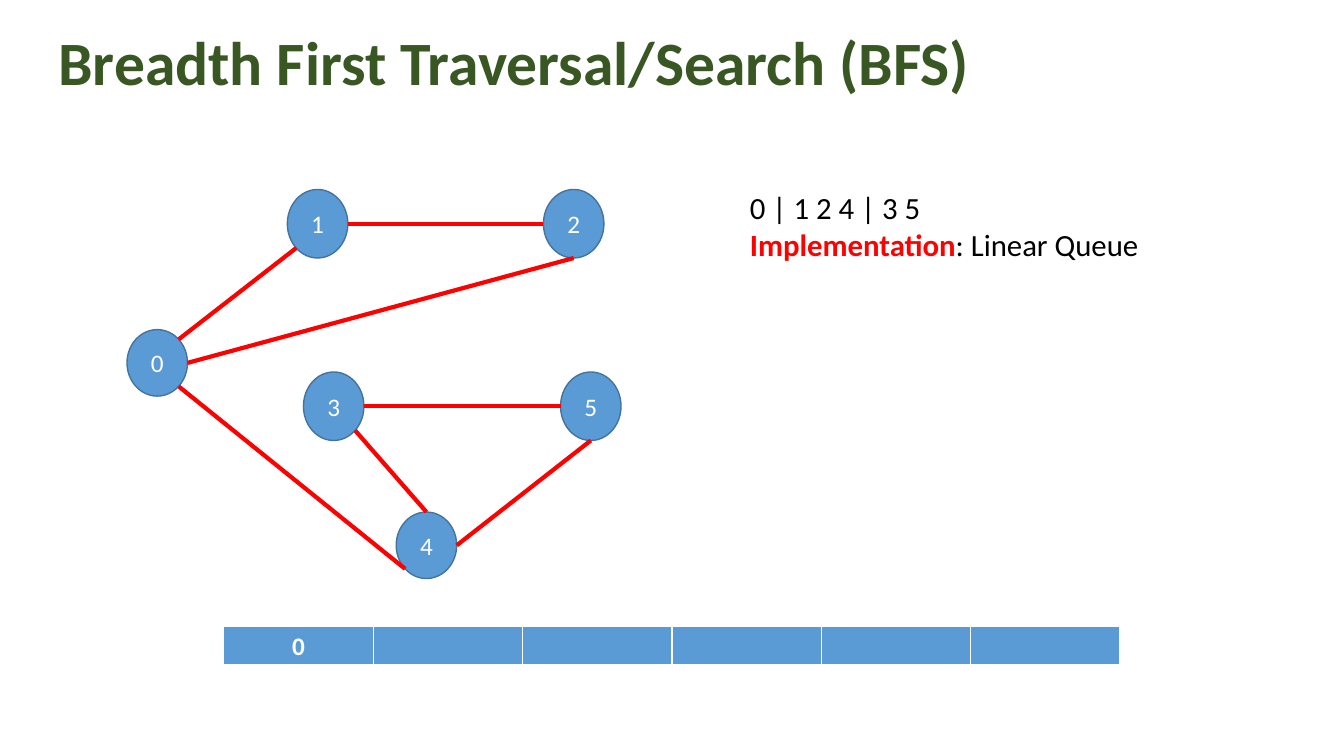
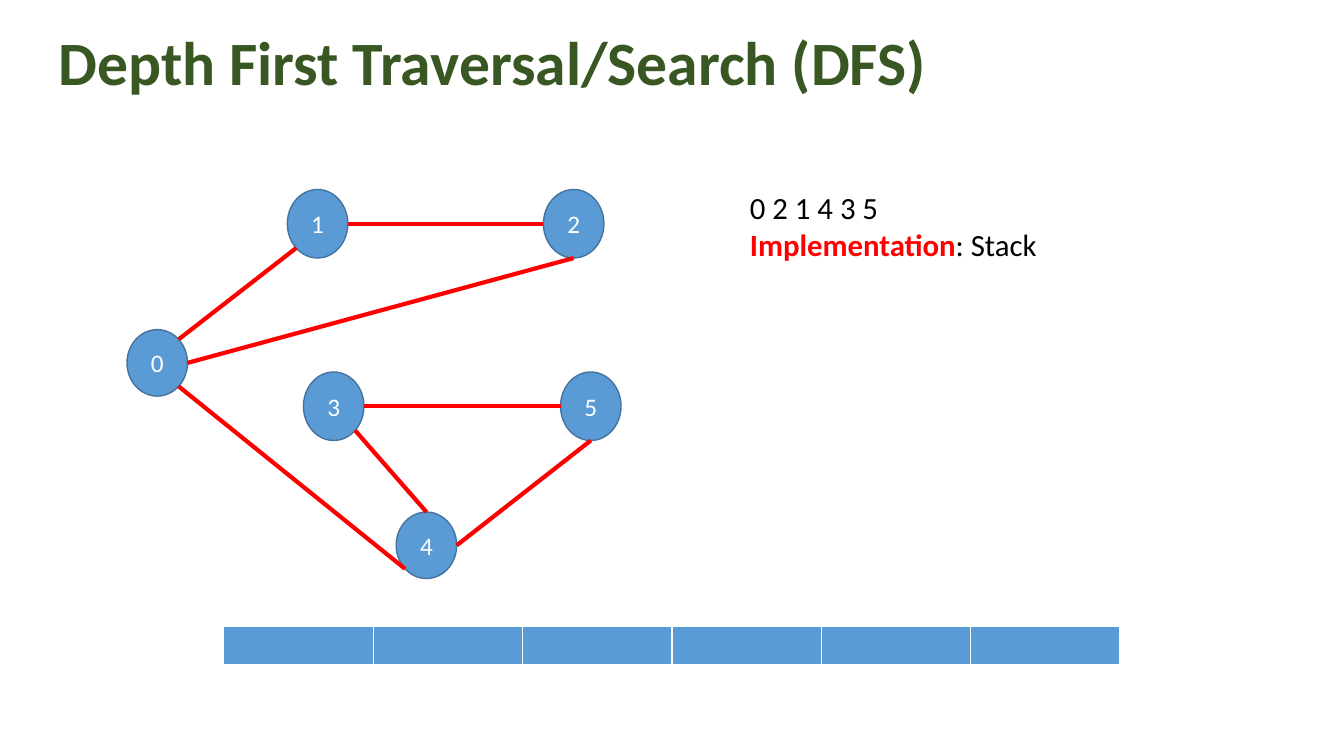
import math

from lxml import etree
from pptx import Presentation
from pptx.dml.color import RGBColor
from pptx.enum import shapes, text
from pptx.oxml import ns
from pptx.util import Inches, Pt

FONT = "Calibri"
GREEN = RGBColor(0x38, 0x57, 0x23)
BLUE = RGBColor(0x5B, 0x9B, 0xD5)
DARK_BLUE = RGBColor(0x43, 0x73, 0x9E)
RED = RGBColor(0xFF, 0x00, 0x00)
WHITE = RGBColor(0xFF, 0xFF, 0xFF)
BLACK = RGBColor(0x00, 0x00, 0x00)

NODE_WIDTH = 0.6
NODES = {
    "0": (1.26, 3.27, 0.66),
    "1": (2.85, 1.88, 0.68),
    "2": (5.39, 1.88, 0.68),
    "4": (3.93, 5.08, 0.66),
    "3": (3.01, 3.69, 0.68),
    "5": (5.56, 3.69, 0.68),
}
RIGHT, BOTTOM_RIGHT, BOTTOM, BOTTOM_LEFT = 0, 45, 90, 135
LEFT, TOP, TOP_RIGHT = 180, 270, 315
EDGES = [
    ("0", TOP_RIGHT, "1", BOTTOM_LEFT),
    ("1", RIGHT, "2", LEFT),
    ("0", BOTTOM_RIGHT, "4", BOTTOM_LEFT),
    ("3", BOTTOM_RIGHT, "4", TOP),
    ("5", BOTTOM, "4", RIGHT),
    ("0", RIGHT, "2", BOTTOM),
    ("3", RIGHT, "5", LEFT),
]

CELL_COUNT = 6
CELL_BORDERS = {"a:lnL": 1, "a:lnR": 1, "a:lnT": 1, "a:lnB": 3}

SLIDES = [
    ("Breadth First Traversal/Search (BFS)", "0 | 1 2 4 | 3 5", "Linear Queue", ["0"]),
    ("Depth First Traversal/Search (DFS)", "0 2 1 4 3 5", "Stack", []),
]


def write(paragraph, content, size=18, color=WHITE, bold=False, align=text.PP_ALIGN.LEFT):
    paragraph.alignment = align
    run = paragraph.add_run()
    run.text = content
    run.font.name = FONT
    run.font.size = Pt(size)
    run.font.bold = bold
    run.font.color.rgb = color


def add_title(slide, title):
    shape = slide.shapes.title
    shape.left, shape.top = Inches(0.48), Inches(0.26)
    shape.width, shape.height = Inches(11.5), Inches(0.79)
    frame = shape.text_frame
    frame.auto_size = text.MSO_AUTO_SIZE.NONE
    frame.vertical_anchor = text.MSO_ANCHOR.MIDDLE
    paragraph = frame.paragraphs[0]
    paragraph.line_spacing = 0.9
    write(paragraph, title, size=44, color=GREEN, bold=True)


def add_node(slide, label):
    left, top, height = NODES[label]
    shape = slide.shapes.add_shape(
        shapes.MSO_SHAPE.OVAL, Inches(left), Inches(top), Inches(NODE_WIDTH), Inches(height)
    )
    shape.shadow.inherit = False
    shape.fill.solid()
    shape.fill.fore_color.rgb = BLUE
    shape.line.color.rgb = DARK_BLUE
    shape.line.width = Pt(1)
    shape.text_frame.vertical_anchor = text.MSO_ANCHOR.MIDDLE
    write(shape.text_frame.paragraphs[0], label, align=text.PP_ALIGN.CENTER)


def rim_point(label, degrees):
    left, top, height = NODES[label]
    angle = math.radians(degrees)
    x = left + NODE_WIDTH / 2 * (1 + math.cos(angle))
    y = top + height / 2 * (1 + math.sin(angle))
    return Inches(x), Inches(y)


def add_edge(slide, start, start_angle, end, end_angle):
    connector = slide.shapes.add_connector(
        shapes.MSO_CONNECTOR.STRAIGHT,
        *rim_point(start, start_angle),
        *rim_point(end, end_angle),
    )
    connector.line.color.rgb = RED
    connector.line.width = Pt(3)
    etree.SubElement(connector._element.spPr, ns.qn("a:effectLst"))


def add_summary(slide, order, structure):
    box = slide.shapes.add_textbox(Inches(7.34), Inches(1.82), Inches(5.03), Inches(0.84))
    frame = box.text_frame
    frame.word_wrap = True
    frame.auto_size = text.MSO_AUTO_SIZE.SHAPE_TO_FIT_TEXT
    write(frame.paragraphs[0], order, size=22, color=BLACK)
    paragraph = frame.add_paragraph()
    write(paragraph, "Implementation", size=22, color=RED, bold=True)
    write(paragraph, f": {structure}", size=22, color=BLACK)


def add_borders(cell):
    properties = cell._tc.get_or_add_tcPr()
    for position, (tag, width) in enumerate(CELL_BORDERS.items()):
        line = etree.Element(ns.qn(tag), w=str(Pt(width)))
        fill = etree.SubElement(line, ns.qn("a:solidFill"))
        etree.SubElement(fill, ns.qn("a:srgbClr"), val=str(WHITE))
        properties.insert(position, line)


def add_storage(slide, values):
    table = slide.shapes.add_table(
        1, CELL_COUNT, Inches(2.22), Inches(6.21), Inches(8.89), Inches(0.38)
    ).table
    for cell in table.iter_cells():
        cell.fill.solid()
        cell.fill.fore_color.rgb = BLUE
        add_borders(cell)
    for column, value in enumerate(values):
        paragraph = table.cell(0, column).text_frame.paragraphs[0]
        write(paragraph, value, bold=True, align=text.PP_ALIGN.CENTER)


def main():
    presentation = Presentation()
    presentation.slide_width = Inches(13.33)
    presentation.slide_height = Inches(7.5)
    title_only = presentation.slide_layouts.get_by_name("Title Only")
    for title, order, structure, values in SLIDES:
        slide = presentation.slides.add_slide(title_only)
        add_title(slide, title)
        for label in NODES:
            add_node(slide, label)
        for edge in EDGES:
            add_edge(slide, *edge)
        add_summary(slide, order, structure)
        add_storage(slide, values)
    presentation.save("out.pptx")


main()
